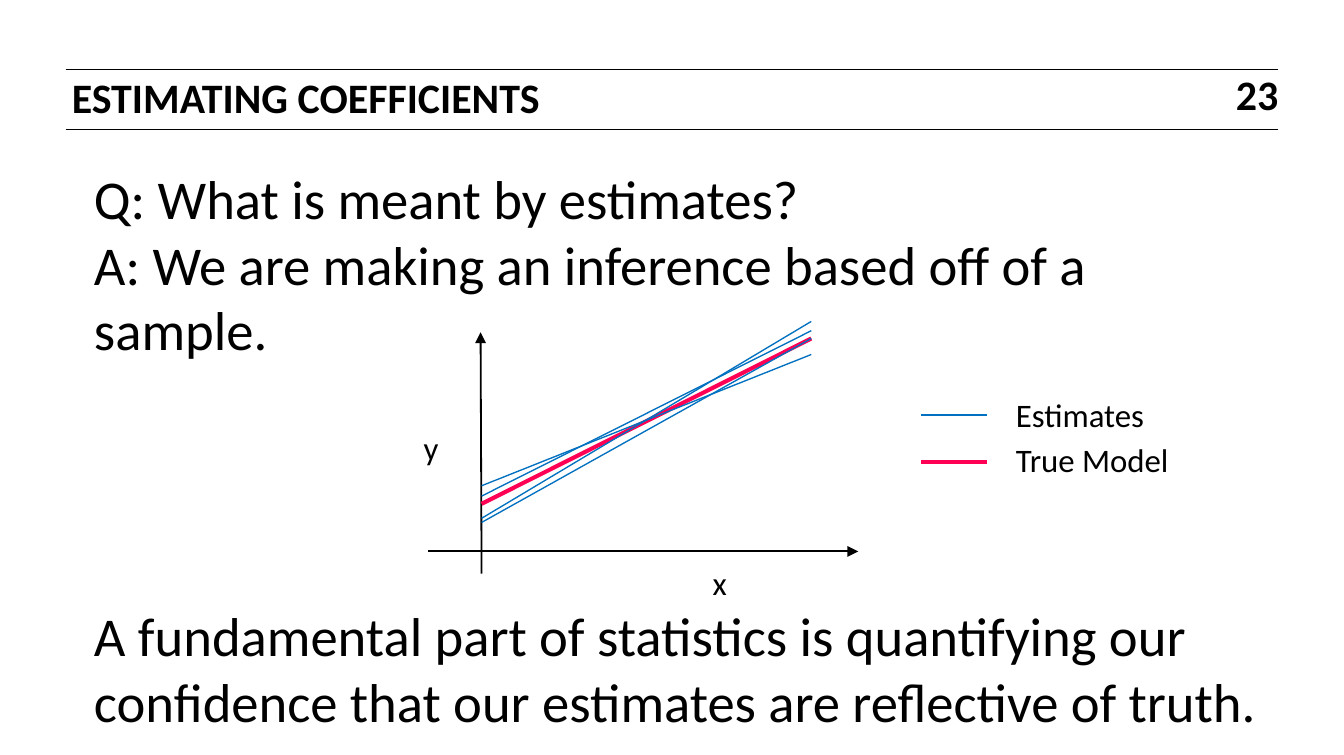
from lxml import etree
from pptx import Presentation
from pptx.dml.color import RGBColor
from pptx.enum.shapes import MSO_CONNECTOR
from pptx.enum.text import MSO_ANCHOR, PP_ALIGN
from pptx.oxml.ns import qn
from pptx.util import Cm, Pt

STRAIGHT = MSO_CONNECTOR.STRAIGHT
LEFT, CENTER, RIGHT = PP_ALIGN.LEFT, PP_ALIGN.CENTER, PP_ALIGN.RIGHT
MIDDLE = MSO_ANCHOR.MIDDLE

FONT = "Calibri"
COLORS = {"ink": "000000", "estimate": "0070C0", "truth": "FF0054"}
ESTIMATE = ("estimate", 0.75)
TRUTH = ("truth", 2.25)


def add_line(slide, start, end, color, width, arrow=False):
    """Straight line between two points in cm, with an optional arrowhead at the end."""
    line = slide.shapes.add_connector(
        STRAIGHT, *(Cm(value) for value in (*start, *end)))
    line.line.color.rgb = RGBColor.from_string(COLORS[color])
    line.line.width = Pt(width)
    properties = line._element.spPr
    if arrow:
        etree.SubElement(properties.find(qn("a:ln")), qn("a:tailEnd"), type="triangle")
    etree.SubElement(properties, qn("a:effectLst"))


def add_text(slide, box, paragraphs, size, bold=False, align=LEFT, spacing=None):
    """Text box at (left, top, width, height) in cm; returns its text frame."""
    frame = slide.shapes.add_textbox(*(Cm(value) for value in box)).text_frame
    frame.word_wrap = True
    for index, text in enumerate(paragraphs):
        paragraph = frame.add_paragraph() if index else frame.paragraphs[0]
        paragraph.alignment = align
        if spacing:
            paragraph.line_spacing = Pt(spacing)
        run = paragraph.add_run()
        run.text = text
        run.font.name = FONT
        run.font.size = Pt(size)
        run.font.bold = bold
        run.font.color.rgb = RGBColor.from_string(COLORS["ink"])
    return frame


def add_header(slide):
    for rule_y in (1.35, 2.51):
        add_line(slide, (1.27, rule_y), (24.74, rule_y), "ink", 0.5)
    add_text(slide, (1.14, 1.37, 17.78, 0.84), ["ESTIMATING COEFFICIENTS"],
             23, bold=True, spacing=24.5)
    # The box is wide enough to keep both digits on one line
    number = add_text(slide, (23.47, 1.47, 1.27, 0.86), ["23"],
                      23, bold=True, align=RIGHT, spacing=23)
    number.vertical_anchor = MIDDLE
    number.margin_left = number.margin_right = 0
    number.margin_top = number.margin_bottom = Cm(0.1)


def add_statement(slide, top, paragraphs):
    add_text(slide, (1.57, top, 23.29, 2.82), paragraphs, 30)


def add_plot(slide):
    # Axes and their names
    add_line(slide, (9.32, 11.1), (9.3, 6.43), "ink", 1, arrow=True)
    add_line(slide, (8.28, 10.67), (16.61, 10.67), "ink", 1, arrow=True)
    for name, left, top in (("x", 13.46, 10.77), ("y", 7.87, 8.15)):
        add_text(slide, (left, top, 0.94, 1.02), [name], 18, align=CENTER)

    # True model first, then the estimates on top: right and left heights
    fits = [
        (6.55, 9.75, TRUTH),
        (6.4, 9.6, ESTIMATE),
        (6.22, 10.03, ESTIMATE),
        (6.55, 10.11, ESTIMATE),
        (6.86, 9.4, ESTIMATE),
    ]
    for right_y, left_y, style in fits:
        add_line(slide, (15.7, right_y), (9.32, left_y), *style)


def add_legend(slide):
    entries = [
        ("Estimates", 8.03, 7.52, ESTIMATE),
        ("True Model", 8.94, 8.38, TRUTH),
    ]
    for label, key_y, label_top, style in entries:
        add_line(slide, (19.1, key_y), (17.83, key_y), *style)
        add_text(slide, (19.41, label_top, 3.76, 1.02), [label], 18)


def main():
    deck = Presentation()
    deck.slide_width, deck.slide_height = Cm(26.01), Cm(14.61)
    slide = deck.slides.add_slide(deck.slide_layouts[6])

    add_header(slide)
    add_statement(slide, 3.07, [
        "Q: What is meant by estimates?",
        "A: We are making an inference based off of a sample.",
    ])
    add_plot(slide)
    add_legend(slide)
    add_statement(slide, 11.53, [
        "A fundamental part of statistics is quantifying our confidence "
        "that our estimates are reflective of truth.",
    ])

    deck.save("out.pptx")


if __name__ == "__main__":
    main()
